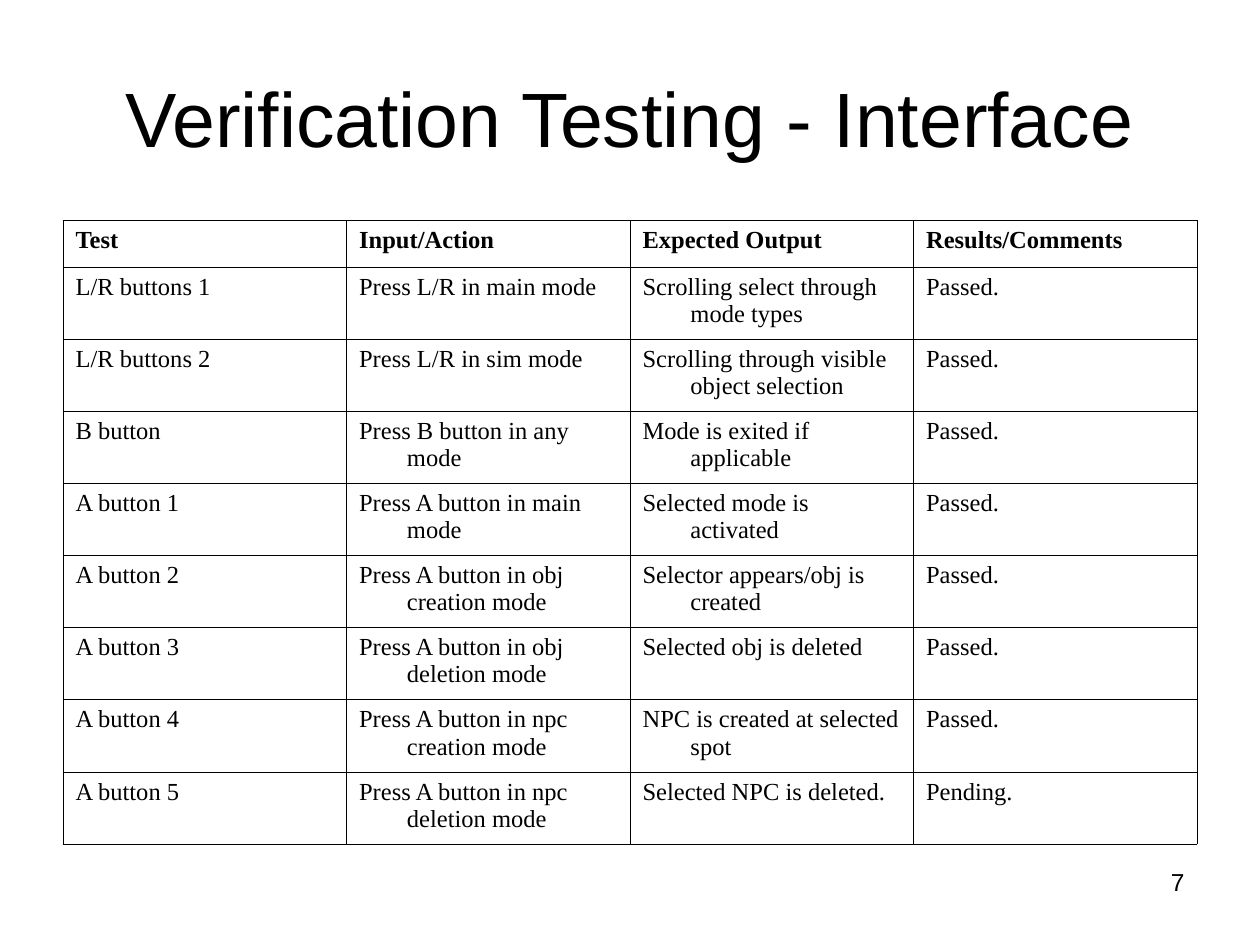
from dataclasses import dataclass

from lxml import etree
from pptx import Presentation
from pptx.dml.color import RGBColor
from pptx.enum.text import MSO_ANCHOR, PP_ALIGN
from pptx.oxml.ns import qn
from pptx.util import Inches, Pt

LEFT, CENTER, RIGHT = PP_ALIGN.LEFT, PP_ALIGN.CENTER, PP_ALIGN.RIGHT
TOP, MIDDLE = MSO_ANCHOR.TOP, MSO_ANCHOR.MIDDLE


@dataclass(frozen=True)
class Theme:
    ink: str = "000000"
    paper: str = "FFFFFF"
    heading_font: str = "Arial"
    table_font: str = "Times New Roman"
    title_size: int = 44
    body_size: int = 14
    border_width: float = 0.45
    hanging_indent: float = 0.38


class SlideBuilder:
    def __init__(self, slide, theme):
        self.slide = slide
        self.theme = theme
        background = slide.background.fill
        background.solid()
        background.fore_color.rgb = RGBColor.from_string(theme.paper)

    def add_run(self, paragraph, text, font, size, bold=False):
        run = paragraph.add_run()
        run.text = text
        run.font.name = font
        run.font.size = Pt(size)
        run.font.bold = bold
        run.font.color.rgb = RGBColor.from_string(self.theme.ink)

    def add_text(self, text, left, top, width, height, size, alignment, anchor=TOP):
        shape = self.slide.shapes.add_textbox(
            Inches(left), Inches(top), Inches(width), Inches(height))
        frame = shape.text_frame
        frame.word_wrap = True
        frame.vertical_anchor = anchor
        paragraph = frame.paragraphs[0]
        paragraph.alignment = alignment
        self.add_run(paragraph, text, self.theme.heading_font, size)

    def add_borders(self, cell):
        properties = cell._tc.get_or_add_tcPr()
        for position, side in enumerate(("a:lnL", "a:lnR", "a:lnT", "a:lnB")):
            line = etree.Element(qn(side), w=str(Pt(self.theme.border_width)))
            fill = etree.SubElement(line, qn("a:solidFill"))
            etree.SubElement(fill, qn("a:srgbClr"), val=self.theme.ink)
            properties.insert(position, line)

    def fill_cell(self, cell, text, bold):
        cell.fill.background()
        self.add_borders(cell)
        paragraph = cell.text_frame.paragraphs[0]
        paragraph.alignment = LEFT
        indent = Inches(self.theme.hanging_indent)
        properties = paragraph._p.get_or_add_pPr()
        properties.set("marL", str(indent))
        properties.set("indent", str(-indent))
        self.add_run(paragraph, text, self.theme.table_font, self.theme.body_size, bold)

    def add_table(self, rows, left, top, width, height, header_height):
        table = self.slide.shapes.add_table(
            len(rows), len(rows[0]),
            Inches(left), Inches(top), Inches(width), Inches(height)).table
        table.first_row = False
        table.horz_banding = False
        body_height = (height - header_height) / (len(rows) - 1)
        for row_index, texts in enumerate(rows):
            is_header = row_index == 0
            table.rows[row_index].height = Inches(header_height if is_header else body_height)
            for column_index, text in enumerate(texts):
                self.fill_cell(table.cell(row_index, column_index), text, is_header)


TEST_ROWS = [
    ("Test", "Input/Action", "Expected Output", "Results/Comments"),
    ("L/R buttons 1", "Press L/R in main mode", "Scrolling select through mode types", "Passed."),
    ("L/R buttons 2", "Press L/R in sim mode", "Scrolling through visible object selection", "Passed."),
    ("B button", "Press B button in any mode", "Mode is exited if applicable", "Passed."),
    ("A button 1", "Press A button in main mode", "Selected mode is activated", "Passed."),
    ("A button 2", "Press A button in obj creation mode", "Selector appears/obj is created", "Passed."),
    ("A button 3", "Press A button in obj deletion mode", "Selected obj is deleted", "Passed."),
    ("A button 4", "Press A button in npc creation mode", "NPC is created at selected spot", "Passed."),
    ("A button 5", "Press A button in npc deletion mode", "Selected NPC is deleted.", "Pending."),
]


def main():
    presentation = Presentation()
    presentation.slide_width = Inches(10)
    presentation.slide_height = Inches(7.5)
    theme = Theme()
    builder = SlideBuilder(
        presentation.slides.add_slide(presentation.slide_layouts[6]), theme)

    # Title
    builder.add_text("Verification Testing - Interface", 0.5, 0.3, 9, 1.25,
                     theme.title_size, CENTER, MIDDLE)

    # Test results
    builder.add_table(TEST_ROWS, 0.5, 1.75, 9, 4.95, header_height=0.37)

    # Page number
    builder.add_text("7", 7.17, 6.83, 2.33, 0.52, theme.body_size, RIGHT)

    presentation.save("out.pptx")


if __name__ == "__main__":
    main()
